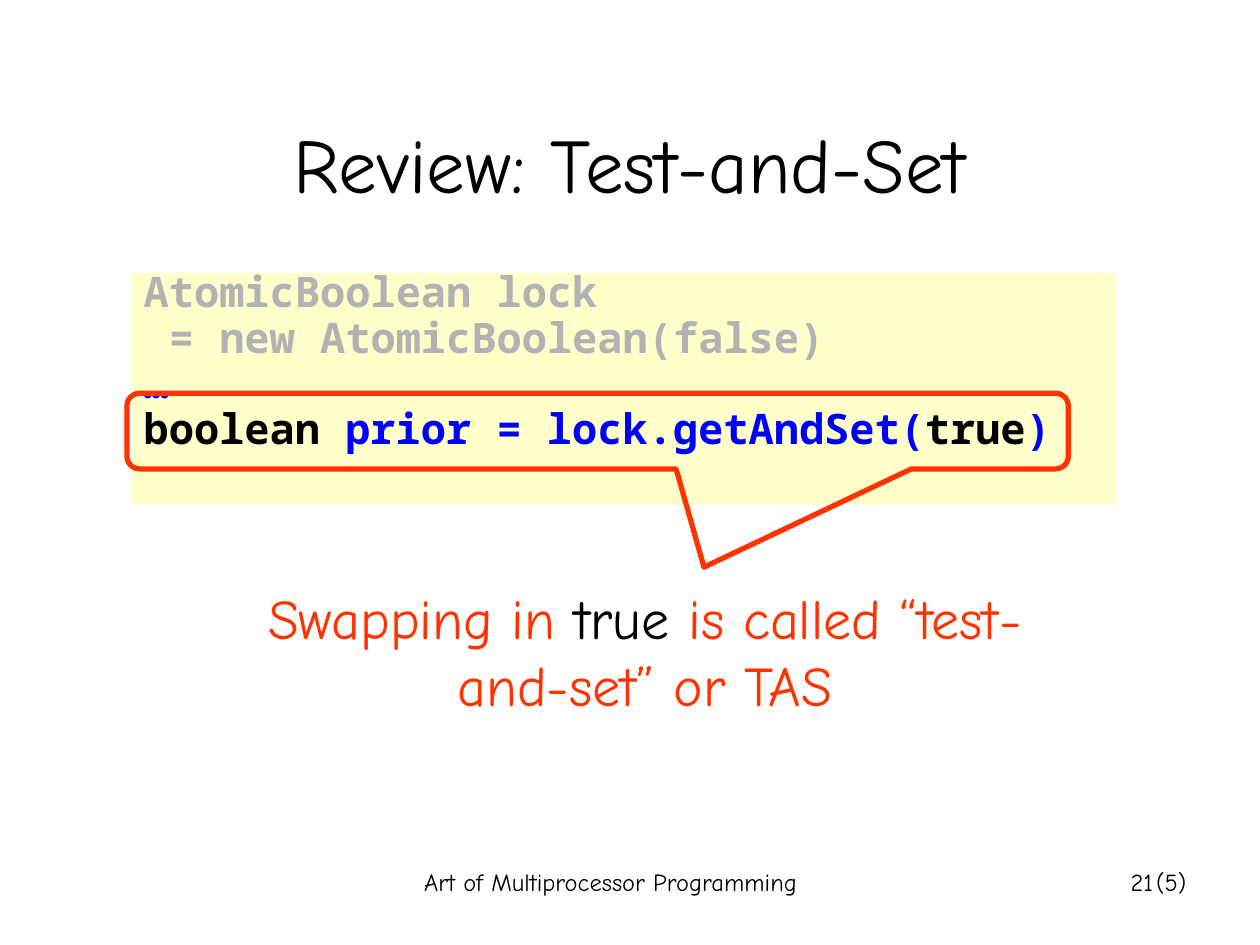
from dataclasses import dataclass
from typing import NamedTuple

import pptx
import pptx.dml.color
import pptx.enum.shapes
import pptx.enum.text
import pptx.util

Pt = pptx.util.Pt
RGBColor = pptx.dml.color.RGBColor
Align = pptx.enum.text.PP_ALIGN
Anchor = pptx.enum.text.MSO_ANCHOR
Shape = pptx.enum.shapes.MSO_SHAPE


@dataclass(frozen=True)
class Theme:
    ink: str = "000000"
    muted: str = "B2B2B2"
    code: str = "0000FF"
    accent: str = "FF3300"
    panel: str = "FFFFCC"
    body_font: str = "Comic Neue"
    code_font: str = "Noto Sans Mono"
    title_size: float = 44
    remark_size: float = 32
    code_size: float = 24
    footer_size: float = 14


class Box(NamedTuple):
    left: float
    top: float
    width: float
    height: float

    def lengths(self) -> tuple:
        return tuple(Pt(length) for length in self)


class Span(NamedTuple):
    text: str
    color: str


class Label(NamedTuple):
    box: Box
    spans: list[Span]
    size: float
    align: Align
    wrap: bool = True


THEME = Theme()

LABELS = [
    Label(Box(208, 492, 282, 36),
          [Span("Art of Multiprocessor Programming", THEME.ink)],
          THEME.footer_size, Align.CENTER),
    Label(Box(516, 492, 150, 36), [Span("21", THEME.ink)],
          THEME.footer_size, Align.RIGHT),
    Label(Box(653, 492, 32, 24.5), [Span("(5)", THEME.ink)],
          THEME.footer_size, Align.RIGHT, wrap=False),
    Label(Box(140.5, 330, 456, 84),
          [Span("Swapping in ", THEME.accent),
           Span("true", THEME.ink),
           Span(" is called “test-and-set” or TAS", THEME.accent)],
          THEME.remark_size, Align.CENTER),
]

CODE_LINES = [
    [Span("AtomicBoolean lock", THEME.muted)],
    [Span(" = new AtomicBoolean(false)", THEME.muted)],
    [Span("…", THEME.code)],
    [Span("boolean", THEME.ink),
     Span(" prior = lock.getAndSet(", THEME.code),
     Span("true", THEME.ink),
     Span(")", THEME.code)],
]


def write_spans(paragraph, spans: list[Span], font: str, size: float,
                bold: bool = False) -> None:
    for span in spans:
        run = paragraph.add_run()
        run.text = span.text
        run.font.name = font
        run.font.size = Pt(size)
        run.font.bold = bold
        run.font.color.rgb = RGBColor.from_string(span.color)


def add_title(slide, box: Box, text: str) -> None:
    title = slide.shapes.title
    title.left, title.top, title.width, title.height = box.lengths()
    title.text_frame.vertical_anchor = Anchor.MIDDLE
    heading = title.text_frame.paragraphs[0]
    heading.alignment = Align.CENTER
    write_spans(heading, [Span(text, THEME.ink)], THEME.body_font,
                THEME.title_size)


def add_label(slide, label: Label) -> None:
    frame = slide.shapes.add_textbox(*label.box.lengths()).text_frame
    frame.word_wrap = label.wrap
    paragraph = frame.paragraphs[0]
    paragraph.alignment = label.align
    write_spans(paragraph, label.spans, THEME.body_font, label.size)


def add_code_panel(slide, box: Box, lines: list[list[Span]]) -> None:
    panel = slide.shapes.add_shape(Shape.RECTANGLE, *box.lengths())
    panel.shadow.inherit = False
    panel.fill.solid()
    panel.fill.fore_color.rgb = RGBColor.from_string(THEME.panel)
    panel.line.fill.background()
    frame = panel.text_frame
    frame.word_wrap = True
    frame.vertical_anchor = Anchor.TOP
    for index, spans in enumerate(lines):
        paragraph = frame.add_paragraph() if index else frame.paragraphs[0]
        paragraph.alignment = Align.LEFT
        paragraph.line_spacing = 0.7
        paragraph.space_before = Pt(6 if index else 0)
        write_spans(paragraph, spans, THEME.code_font, THEME.code_size,
                    bold=True)


def add_callout(slide, box: Box, tip_x: float, tip_y: float) -> None:
    """Outline a code line; the tip is offset from the centre in box sizes."""
    callout = slide.shapes.add_shape(Shape.ROUNDED_RECTANGULAR_CALLOUT,
                                     *box.lengths())
    callout.shadow.inherit = False
    callout.adjustments[0] = tip_x
    callout.adjustments[1] = tip_y
    callout.adjustments[2] = 0.167
    callout.fill.background()
    callout.line.color.rgb = RGBColor.from_string(THEME.accent)
    callout.line.width = Pt(3)


def main() -> None:
    deck = pptx.Presentation()
    deck.slide_width, deck.slide_height = Pt(720), Pt(540)
    title_only = deck.slide_layouts[5]
    slide = deck.slides.add_slide(title_only)

    add_title(slide, Box(54, 48, 612, 90), "Review: Test-and-Set")
    add_code_panel(slide, Box(75, 156, 563, 132.5), CODE_LINES)
    add_callout(slide, Box(72.5, 224.75, 538, 43.2), 0.113, 1.8)
    for label in LABELS:
        add_label(slide, label)

    deck.save("out.pptx")


if __name__ == "__main__":
    main()
